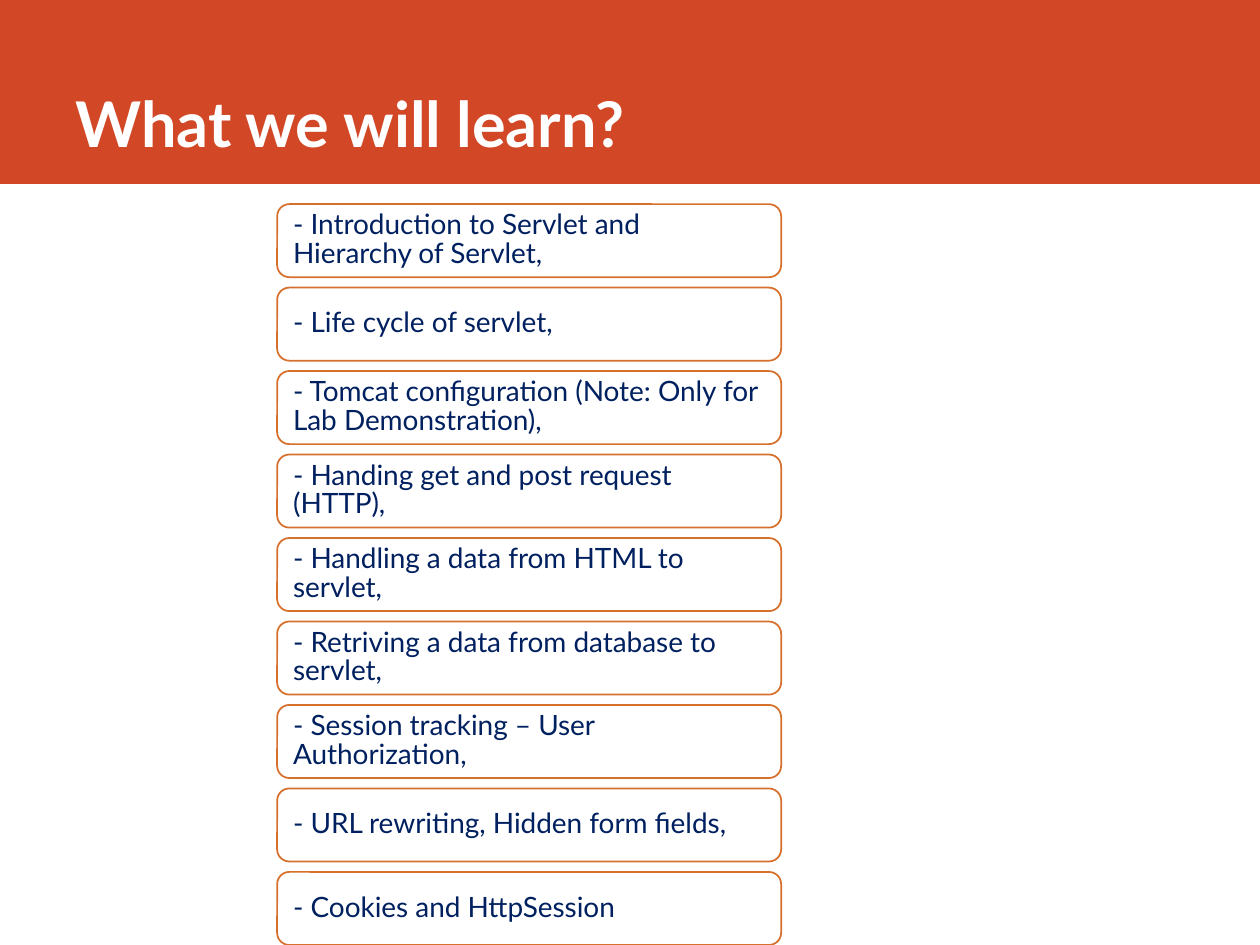
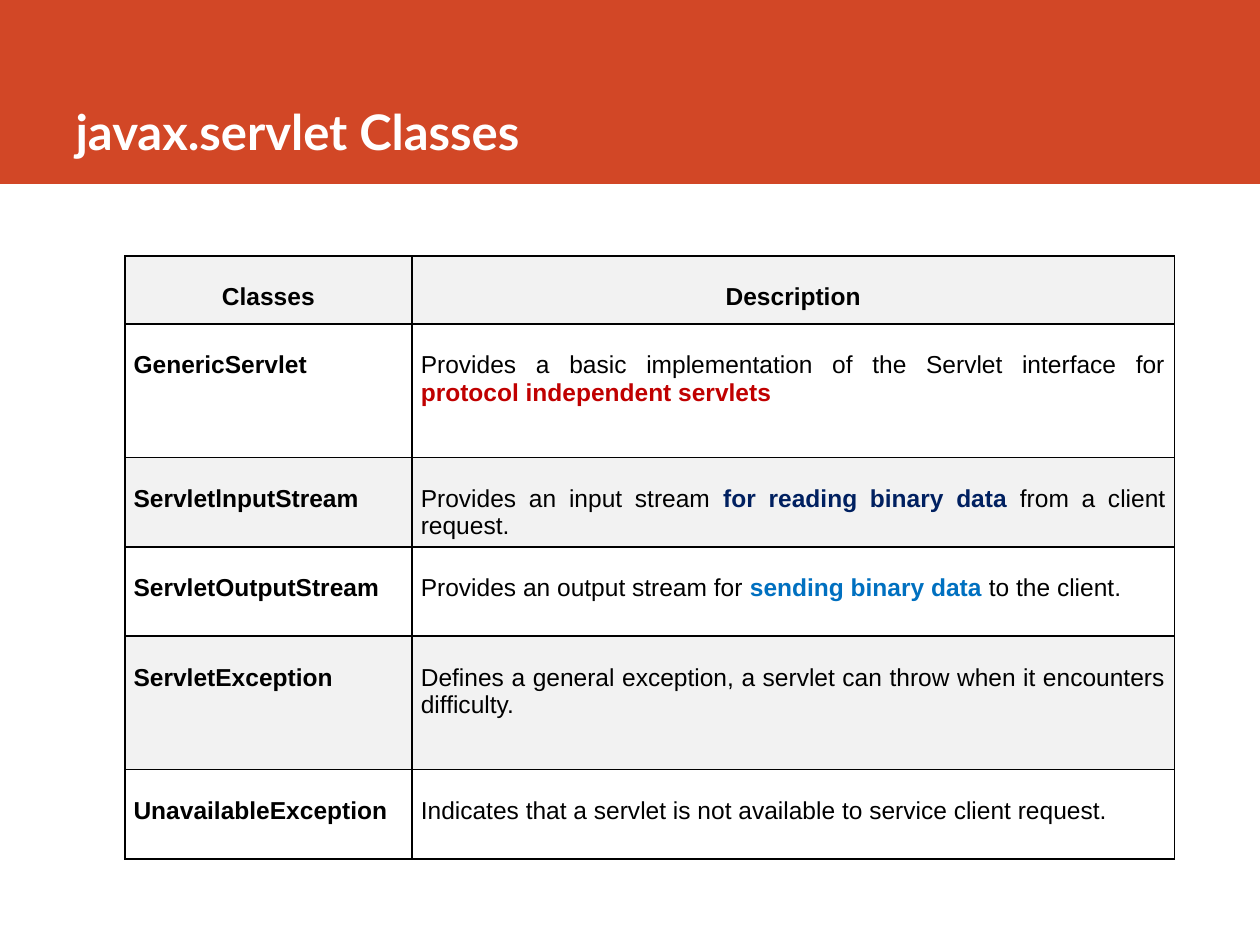
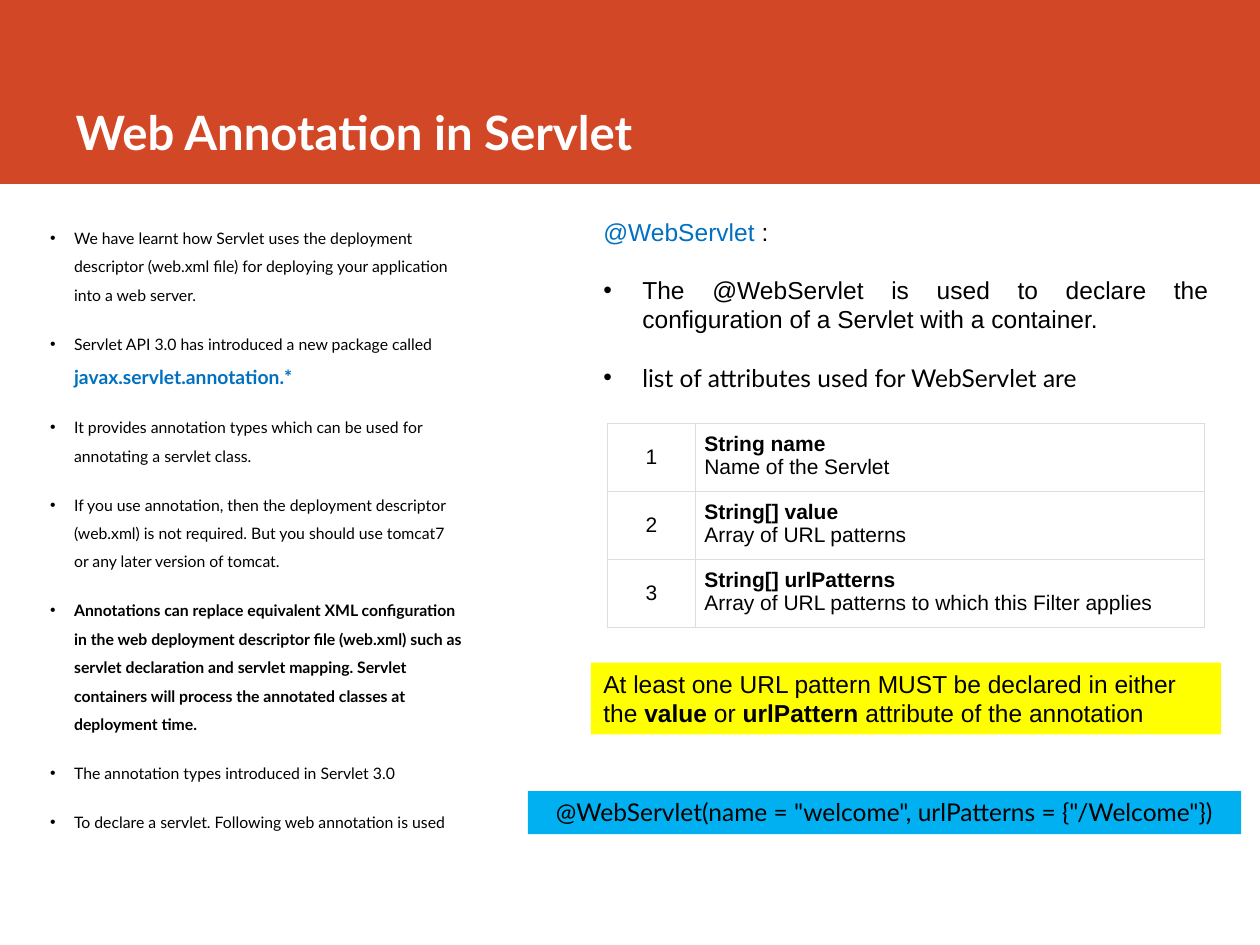
import lxml.etree
import pptx
import pptx.dml.color
import pptx.enum.shapes
import pptx.enum.text
import pptx.oxml.ns
import pptx.util

Inches = pptx.util.Inches
Pt = pptx.util.Pt
Align = pptx.enum.text.PP_ALIGN
Anchor = pptx.enum.text.MSO_ANCHOR
Shape = pptx.enum.shapes.MSO_SHAPE
qn = pptx.oxml.ns.qn

BLACK, WHITE, NAVY, BLUE = "000000", "FFFFFF", "002060", "0070C0"
BAND, BOX_LINE = "D24726", "D6702C"


def color(hex_string):
    return pptx.dml.color.RGBColor.from_string(hex_string)


def write(paragraph, parts, size, name="Arial", ink=BLACK, bold=False,
          align=Align.LEFT, bullet_indent=None):
    """Fill a paragraph with parts: plain strings or (text, font overrides)."""
    if bullet_indent:
        properties = paragraph._p.get_or_add_pPr()
        properties.set("marL", str(Inches(bullet_indent)))
        properties.set("indent", str(-Inches(bullet_indent)))
        lxml.etree.SubElement(properties, qn("a:buFont"), typeface="Arial")
        lxml.etree.SubElement(properties, qn("a:buChar"), char="•")
    paragraph.alignment = align
    paragraph.font.size = Pt(size)
    paragraph.font.name = name
    paragraph.font.bold = bold
    paragraph.font.color.rgb = color(ink)
    for part in parts:
        text, overrides = (part, {}) if isinstance(part, str) else part
        run = paragraph.add_run()
        run.text = text
        if "bold" in overrides:
            run.font.bold = overrides["bold"]
        if "size" in overrides:
            run.font.size = Pt(overrides["size"])
        if "ink" in overrides:
            run.font.color.rgb = color(overrides["ink"])


presentation = pptx.Presentation()
presentation.slide_width = Inches(10)
presentation.slide_height = Inches(7.5)
title_only = presentation.slide_layouts[5]

# Titles and the band they stand on
slides = []
for title_text, title_size in (("What we will learn?", 36),
                               ("javax.servlet Classes", 28),
                               ("Web Annotation in Servlet", 27)):
    slide = presentation.slides.add_slide(title_only)
    title = slide.shapes.title
    title.left, title.top = Inches(0.5), Inches(0)
    title.width, title.height = Inches(8.82), Inches(1.32)
    title.text_frame.vertical_anchor = Anchor.BOTTOM
    title.text_frame.auto_size = pptx.enum.text.MSO_AUTO_SIZE.NONE
    write(title.text_frame.paragraphs[0], [title_text], title_size, "Lato", WHITE, True)
    slides.append(slide)
topics_slide, classes_slide, annotation_slide = slides

band = topics_slide.shapes.add_shape(Shape.RECTANGLE, 0, 0, Inches(10), Inches(1.46))
band.shadow.inherit = False
band.fill.solid()
band.fill.fore_color.rgb = color(BAND)
band.line.fill.background()
title_only.shapes.element.insert(2, band.element)

# Slide 1: topics
topics = [
    "Introduction to Servlet and Hierarchy of Servlet,",
    "Life cycle of servlet,",
    "Tomcat configuration (Note: Only for Lab Demonstration),",
    "Handing get and post request (HTTP),",
    "Handling a data from HTML to servlet,",
    "Retriving a data from database to servlet,",
    "Session tracking – User Authorization,",
    "URL rewriting, Hidden form fields,",
    "Cookies and HttpSession",
]
first_top, last_top = 1.62, 6.92
topic_step = (last_top - first_top) / (len(topics) - 1)
for index, topic in enumerate(topics):
    box = topics_slide.shapes.add_shape(
        Shape.ROUNDED_RECTANGLE, Inches(2.2), Inches(first_top + index * topic_step),
        Inches(4), Inches(0.58))
    box.shadow.inherit = False
    box.fill.solid()
    box.fill.fore_color.rgb = color(WHITE)
    box.line.color.rgb = color(BOX_LINE)
    box.line.width = Pt(1)
    box.text_frame.vertical_anchor = Anchor.MIDDLE
    paragraph = box.text_frame.paragraphs[0]
    paragraph.line_spacing = 0.85
    write(paragraph, ["- " + topic], 16, "Lato", NAVY)

# Slide 2: table of classes
servlet_classes = [
    ("Classes", ["Description"], 0.54),
    ("GenericServlet",
     ["Provides a basic implementation of the Servlet interface for ",
      ("protocol independent servlets", {"ink": "C00000", "bold": True})], 1.06),
    ("ServletlnputStream",
     ["Provides an input stream ",
      ("for reading binary data", {"ink": NAVY, "bold": True}),
      " from a client request."], 0.71),
    ("ServletOutputStream",
     ["Provides an output stream for ",
      ("sending binary data ", {"ink": BLUE, "bold": True}),
      "to the client."], 0.71),
    ("ServletException",
     ["Defines a general exception, a servlet can throw when it encounters difficulty."],
     1.06),
    ("UnavailableException",
     ["Indicates that a servlet is not available to service client request."], 0.71),
]
classes_table = classes_slide.shapes.add_table(
    len(servlet_classes), 2, Inches(0.99), Inches(2.03), Inches(8.33), Inches(4.79)).table
classes_table.columns[0].width = Inches(2.28)
classes_table.columns[1].width = Inches(6.05)
for index, (class_name, description, height) in enumerate(servlet_classes):
    classes_table.rows[index].height = Inches(height)
    is_header = index == 0
    for column, parts in enumerate(([class_name], description)):
        cell = classes_table.cell(index, column)
        cell.margin_left = cell.margin_right = Inches(0.07)
        cell.margin_top, cell.margin_bottom = Inches(0.22), 0
        write(cell.text_frame.paragraphs[0], parts, 14, bold=is_header or column == 0,
              align=Align.CENTER if is_header else Align.JUSTIFY)

# Slide 3: notes on the left
notes = [
    ["We have learnt how Servlet uses the deployment descriptor (web.xml file) for "
     "deploying your application into a web server."],
    ["Servlet API 3.0 has introduced a new package called ",
     ("javax.servlet.annotation.*", {"size": 11, "ink": BLUE, "bold": True})],
    ["It provides annotation types which can be used for annotating a servlet class."],
    ["If you use annotation, then the deployment descriptor (web.xml) is not required. "
     "But you should use tomcat7 or any later version of tomcat."],
    [("Annotations can replace equivalent XML configuration in the web deployment "
      "descriptor file (web.xml) such as servlet declaration and servlet mapping. "
      "Servlet containers will process the annotated classes at deployment time.",
      {"bold": True})],
    ["The annotation types introduced in Servlet 3.0"],
    ["To declare a servlet. Following web annotation is used"],
]
notes_frame = annotation_slide.shapes.add_textbox(
    Inches(0.3), Inches(1.69), Inches(3.46), Inches(5.17)).text_frame
notes_frame.word_wrap = True
for index, note in enumerate(notes):
    paragraph = notes_frame.add_paragraph() if index else notes_frame.paragraphs[0]
    write(paragraph, note, 9, "Lato", bullet_indent=0.19)
    paragraph.line_spacing = 1.5
    if index:
        paragraph.space_before = Pt(11.7)

# Slide 3: explanation on the right
usage_frame = annotation_slide.shapes.add_textbox(
    Inches(4.69), Inches(1.67), Inches(5), Inches(1.51)).text_frame
usage_frame.word_wrap = True
write(usage_frame.paragraphs[0], [("@WebServlet ", {"ink": BLUE}), ":"], 14)
for text, font_name in (
        ("The @WebServlet is used to declare the configuration of a Servlet with a "
         "container.", "Arial"),
        ("list of attributes used for WebServlet are", "Lato")):
    paragraph = usage_frame.add_paragraph()
    write(paragraph, [text], 14, font_name, align=Align.JUSTIFY, bullet_indent=0.31)
    paragraph.space_before = Pt(16.5)

attributes = [
    ("String name", "Name of the Servlet"),
    ("String[] value", "Array of URL patterns"),
    ("String[] urlPatterns", "Array of URL patterns to which this Filter applies"),
]
attributes_table = annotation_slide.shapes.add_table(
    len(attributes), 2, Inches(4.82), Inches(3.36), Inches(4.74), Inches(1.62)).table
attributes_table.columns[0].width = Inches(0.7)
attributes_table.columns[1].width = Inches(4.04)
for index, (signature, meaning) in enumerate(attributes):
    attributes_table.rows[index].height = Inches(0.54)
    number_cell, text_cell = attributes_table.rows[index].cells
    for cell in (number_cell, text_cell):
        cell.margin_left = cell.margin_right = Inches(0.07)
        cell.margin_top = cell.margin_bottom = Inches(0.07)
    number_cell.vertical_anchor = Anchor.MIDDLE
    write(number_cell.text_frame.paragraphs[0], [str(index + 1)], 12, align=Align.CENTER)
    write(text_cell.text_frame.paragraphs[0], [signature], 12, bold=True,
          align=Align.JUSTIFY)
    write(text_cell.text_frame.add_paragraph(), [meaning], 12, align=Align.JUSTIFY)

# Slide 3: highlighted rule and code
rule = ["At least one URL pattern MUST be declared in either the ",
        ("value", {"bold": True}), " or ", ("urlPattern", {"bold": True}),
        " attribute of the annotation"]
code = ['@WebServlet(name = "welcome", urlPatterns = {"/Welcome"})']
for left, top, width, height, fill, parts, font_name, align in (
        (4.69, 5.26, 5, 0.57, "FFFF00", rule, "Arial", Align.LEFT),
        (4.19, 6.28, 5.66, 0.34, "00B0F0", code, "Lato", Align.CENTER)):
    highlight = annotation_slide.shapes.add_shape(
        Shape.RECTANGLE, Inches(left), Inches(top), Inches(width), Inches(height))
    highlight.shadow.inherit = False
    highlight.fill.solid()
    highlight.fill.fore_color.rgb = color(fill)
    highlight.line.fill.background()
    highlight.text_frame.vertical_anchor = Anchor.TOP
    write(highlight.text_frame.paragraphs[0], parts, 14, font_name, align=align)

# Borders and row fills of both tables
for table, border, border_width, row_fills in (
        (classes_table, BLACK, 1, ("F2F2F2", WHITE)),
        (attributes_table, "DDDDDD", 0.75, (WHITE, WHITE))):
    table.first_row = table.horz_banding = False
    for index, row in enumerate(table.rows):
        for cell in row.cells:
            properties = cell._tc.get_or_add_tcPr()
            for side in ("a:lnL", "a:lnR", "a:lnT", "a:lnB"):
                line = lxml.etree.SubElement(properties, qn(side), w=str(Pt(border_width)))
                line_fill = lxml.etree.SubElement(line, qn("a:solidFill"))
                lxml.etree.SubElement(line_fill, qn("a:srgbClr"), val=border)
            cell.fill.solid()
            cell.fill.fore_color.rgb = color(row_fills[index % 2])

presentation.save("out.pptx")
